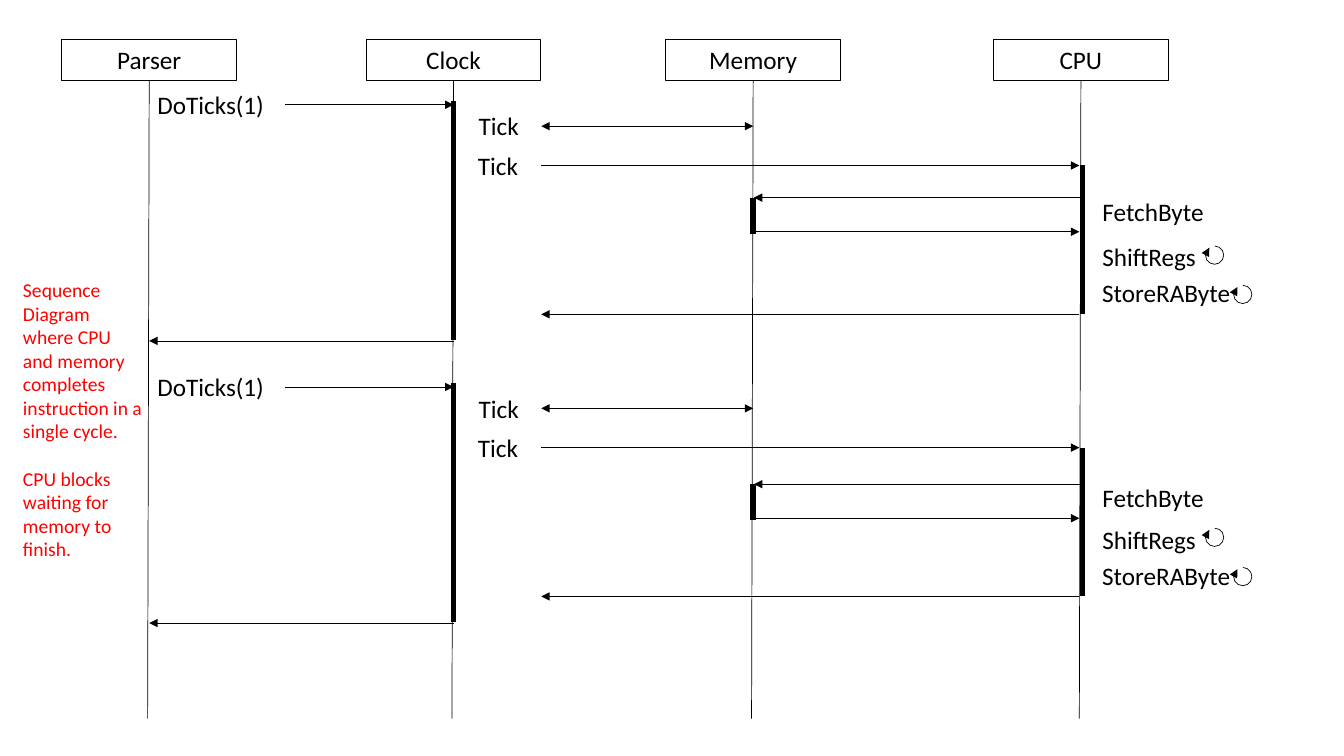
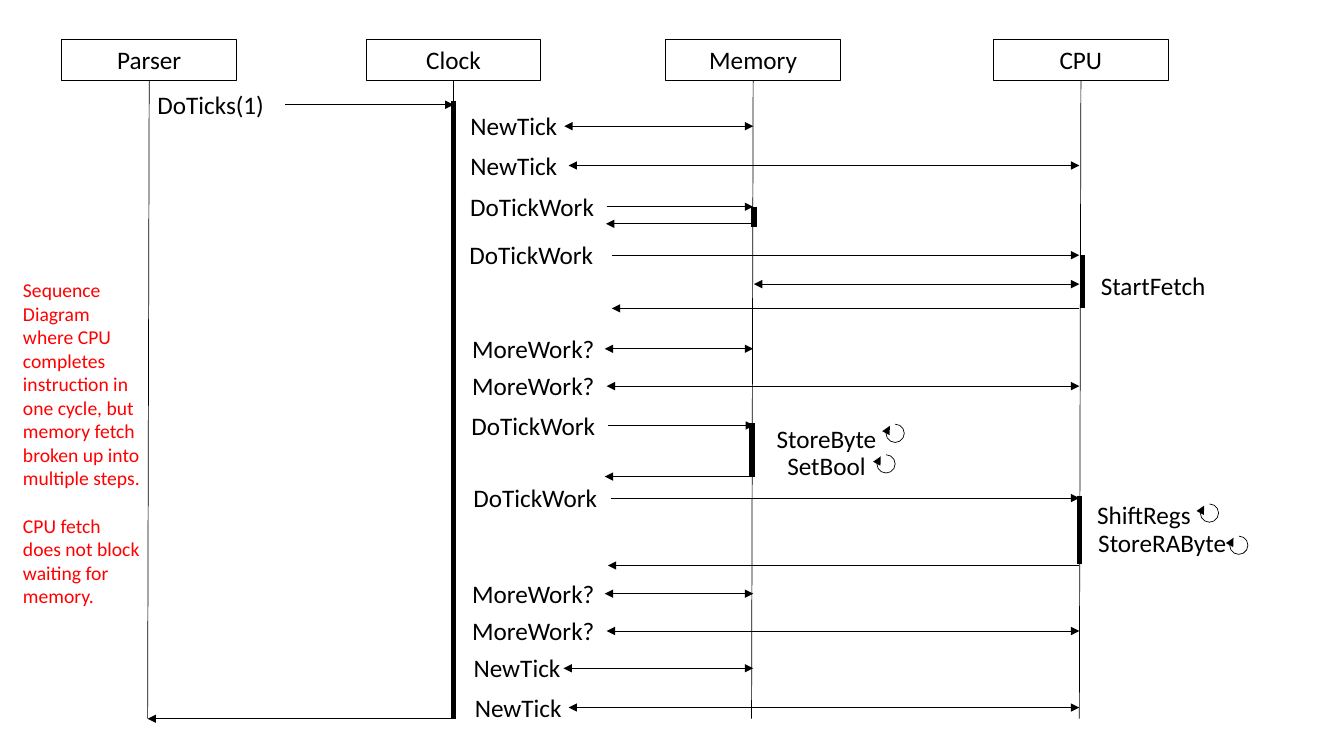
from dataclasses import dataclass

from lxml.etree import SubElement
from pptx import Presentation
from pptx.dml.color import RGBColor
from pptx.enum.shapes import MSO_CONNECTOR, MSO_SHAPE
from pptx.enum.text import MSO_ANCHOR, MSO_AUTO_SIZE, PP_ALIGN
from pptx.oxml.ns import qn
from pptx.shapes.connector import Connector
from pptx.slide import Slide
from pptx.text.text import TextFrame
from pptx.util import Cm, Pt

BLACK = RGBColor(0x00, 0x00, 0x00)
RED = RGBColor(0xFF, 0x00, 0x00)
FONT = "Calibri"

PARSER, CLOCK, MEMORY, CPU = 3.76, 11.43, 18.98, 27.24
CPU_EDGE = 27.2
CPU_BAR = 27.28
MEMORY_EDGE = 19.0
LANES = {"Parser": PARSER, "Clock": CLOCK, "Memory": MEMORY, "CPU": CPU}
HEADER_TOP, HEADER_WIDTH, TEXT_HEIGHT = 1.0, 4.4, 1.03
LANE_TOP, LANE_BOTTOM, LANE_DRIFT = 2.03, 18.11, 0.04
LABEL_WIDTH, WIDE_LABEL = 3.71, 4.22
LOOP_SIZE = 0.46
CYCLE_STEP, FETCH_STEP = 7.11, 7.22
WORK_STEP = 6.17


@dataclass(frozen=True)
class Message:
    start: float
    end: float
    y: float
    label: str = ""
    label_center: float = 0
    two_way: bool = False


@dataclass(frozen=True)
class Activation:
    x: float
    top: float
    bottom: float


@dataclass(frozen=True)
class Action:
    text: str
    center: float
    y: float
    loop_left: float = 0
    loop_top: float = 0
    width: float = LABEL_WIDTH


@dataclass(frozen=True)
class Diagram:
    messages: list[Message]
    activations: list[Activation]
    actions: list[Action]
    caption: list[str]
    caption_height: float


def write_text(frame: TextFrame, lines: list[str], size: float, color: RGBColor,
               alignment: PP_ALIGN) -> None:
    frame.word_wrap = True
    frame.auto_size = MSO_AUTO_SIZE.SHAPE_TO_FIT_TEXT
    for index, line in enumerate(lines):
        paragraph = frame.add_paragraph() if index else frame.paragraphs[0]
        paragraph.text = line
        paragraph.alignment = alignment
        paragraph.font.name = FONT
        paragraph.font.size = Pt(size)
        paragraph.font.color.rgb = color


def add_label(slide: Slide, text: str, center: float, y: float,
              width: float = LABEL_WIDTH) -> None:
    box = slide.shapes.add_textbox(Cm(center - width / 2), Cm(y - TEXT_HEIGHT / 2),
                                   Cm(width), Cm(TEXT_HEIGHT))
    write_text(box.text_frame, [text], 18, BLACK, PP_ALIGN.CENTER)


def add_line(slide: Slide, start: tuple[float, float], end: tuple[float, float],
             width: float = 0.5) -> Connector:
    line = slide.shapes.add_connector(
        MSO_CONNECTOR.STRAIGHT, *(Cm(value) for value in (*start, *end)))
    line.line.color.rgb = BLACK
    line.line.width = Pt(width)
    SubElement(line._element.spPr, qn("a:effectLst"))
    return line


def add_lane(slide: Slide, name: str, x: float) -> None:
    header = slide.shapes.add_shape(
        MSO_SHAPE.RECTANGLE, Cm(x - HEADER_WIDTH / 2), Cm(HEADER_TOP),
        Cm(HEADER_WIDTH), Cm(TEXT_HEIGHT))
    header.shadow.inherit = False
    header.fill.background()
    header.line.color.rgb = BLACK
    header.line.width = Pt(0.75)
    header.text_frame.vertical_anchor = MSO_ANCHOR.TOP
    write_text(header.text_frame, [name], 18, BLACK, PP_ALIGN.CENTER)
    add_line(slide, (x, LANE_TOP), (x - LANE_DRIFT, LANE_BOTTOM))


def add_message(slide: Slide, message: Message) -> None:
    if message.label:
        add_label(slide, message.label, message.label_center, message.y)
    line = add_line(slide, (message.start, message.y), (message.end, message.y))
    outline = line.line._get_or_add_ln()
    if message.two_way:
        SubElement(outline, qn("a:headEnd"), type="triangle")
    SubElement(outline, qn("a:tailEnd"), type="triangle")


def add_loop(slide: Slide, left: float, top: float) -> None:
    loop = slide.shapes.add_shape(MSO_SHAPE.ARC, Cm(left), Cm(top),
                                  Cm(LOOP_SIZE), Cm(LOOP_SIZE))
    loop.shadow.inherit = False
    loop.adjustments[0] = 125.21 * 0.6
    loop.adjustments[1] = 89.17 * 0.6
    loop.fill.background()
    loop.line.color.rgb = BLACK
    loop.line.width = Pt(0.5)
    loop._element.spPr.xfrm.set("flipV", "1")
    SubElement(loop.line._get_or_add_ln(), qn("a:headEnd"), type="triangle")


def add_action(slide: Slide, action: Action) -> None:
    add_label(slide, action.text, action.center, action.y, action.width)
    if action.loop_left:
        add_loop(slide, action.loop_left, action.loop_top)


def add_caption(slide: Slide, lines: list[str], height: float) -> None:
    box = slide.shapes.add_textbox(Cm(0.33), Cm(6.88), Cm(3.51), Cm(height))
    write_text(box.text_frame, lines, 14, RED, PP_ALIGN.LEFT)
    box.text_frame.paragraphs[0].space_after = Pt(17)


def draw_diagram(slide: Slide, diagram: Diagram) -> None:
    for name, x in LANES.items():
        add_lane(slide, name, x)
    for message in diagram.messages:
        add_message(slide, message)
    for bar in diagram.activations:
        add_line(slide, (bar.x, bar.top), (bar.x, bar.bottom), 4)
    for action in diagram.actions:
        add_action(slide, action)
    add_caption(slide, diagram.caption, diagram.caption_height)


def do_ticks(shift: float = 0) -> Message:
    return Message(7.19, CLOCK, 2.64 + shift, "DoTicks(1)", 5.31)


def blocking_diagram() -> Diagram:
    gate = 13.64
    messages: list[Message] = []
    activations: list[Activation] = []
    actions: list[Action] = []
    for cycle in range(2):
        shift, fetch = cycle * CYCLE_STEP, cycle * FETCH_STEP
        messages += [
            do_ticks(shift),
            Message(gate, MEMORY, 3.18 + shift, "Tick", 12.57, True),
            Message(gate, CPU_EDGE, 4.17 + shift, "Tick", 12.55),
            Message(CPU, MEMORY_EDGE, 4.98 + fetch),
            Message(MEMORY_EDGE, CPU_EDGE, 5.84 + fetch),
            Message(CPU_EDGE, gate, 7.92 + shift),
            Message(CLOCK, PARSER, 8.59 + shift),
        ]
        activations += [
            Activation(CLOCK, 2.54 + shift, 8.56 + shift),
            Activation(MEMORY, 4.98 + fetch, 5.89 + fetch),
            Activation(CPU_BAR, 4.17 + shift, 7.9 + shift),
        ]
        actions += [
            Action("FetchByte", 29.06, 5.33 + fetch),
            Action("ShiftRegs", 28.96, 6.48 + shift, 30.38, 6.2 + shift),
            Action("StoreRAByte", 29.39, 7.39 + shift, 31.09, 7.19 + shift, WIDE_LABEL),
        ]
    caption = [
        "Sequence Diagram where CPU and memory completes instruction in a single cycle.",
        "CPU blocks waiting for memory to finish.",
    ]
    return Diagram(messages, activations, actions, caption, 7.44)


def stepped_diagram() -> Diagram:
    messages = [
        do_ticks(),
        Message(14.22, MEMORY, 3.18, "NewTick", 12.95, True),
        Message(14.33, CPU_EDGE, 4.17, "NewTick", 12.95, True),
        Message(15.29, MEMORY, 5.21, "DoTickWork", 13.41),
        Message(MEMORY, 15.27, 5.64),
        Message(15.42, CPU_EDGE, 6.43, "DoTickWork", 13.39),
        Message(CPU_EDGE, MEMORY_EDGE, 7.16, two_way=True),
        Message(CPU_EDGE, 15.42, 7.77),
        Message(15.32, MEMORY_EDGE, 10.72, "DoTickWork", 13.44),
        Message(MEMORY, 15.24, 12.01),
        Message(15.39, CPU_EDGE, 12.55, "DoTickWork", 13.49),
        Message(CPU_EDGE, 15.32, 14.25),
        Message(14.2, MEMORY, 16.84, "NewTick", 13.03, True),
        Message(14.33, CPU_EDGE, 17.83, "NewTick", 13.06, True),
        Message(CLOCK, PARSER - LANE_DRIFT, LANE_BOTTOM),
    ]
    for shift in (0, WORK_STEP):
        messages += [
            Message(15.24, MEMORY, 8.79 + shift, "MoreWork?", 13.44, True),
            Message(15.29, CPU_EDGE, 9.73 + shift, "MoreWork?", 13.44, True),
        ]
    activations = [
        Activation(CLOCK, 2.54, LANE_BOTTOM),
        Activation(MEMORY_EDGE, 5.21, 5.72),
        Activation(CPU_BAR, 6.43, 7.77),
        Activation(18.95, 10.67, 12.01),
        Activation(CPU_EDGE, 12.5, 14.22),
    ]
    actions = [
        Action("StartFetch", 29.06, 7.21),
        Action("StoreByte", 20.83, 11.05, 22.33, 10.69),
        Action("SetBool", 20.83, 11.73, 22.1, 11.46),
        Action("ShiftRegs", 28.83, 12.98, 30.25, 12.7),
        Action("StoreRAByte", 29.29, 13.69, 30.99, 13.51, WIDE_LABEL),
    ]
    caption = [
        "Sequence Diagram where CPU completes instruction in one cycle, "
        "but memory fetch broken up into multiple steps.",
        "CPU fetch does not block waiting for memory.",
    ]
    return Diagram(messages, activations, actions, caption, 8.64)


def main() -> None:
    presentation = Presentation()
    presentation.slide_width = Cm(33.87)
    presentation.slide_height = Cm(19.05)
    for diagram in (blocking_diagram(), stepped_diagram()):
        slide = presentation.slides.add_slide(presentation.slide_layouts[6])
        draw_diagram(slide, diagram)
    presentation.save("out.pptx")


if __name__ == "__main__":
    main()
